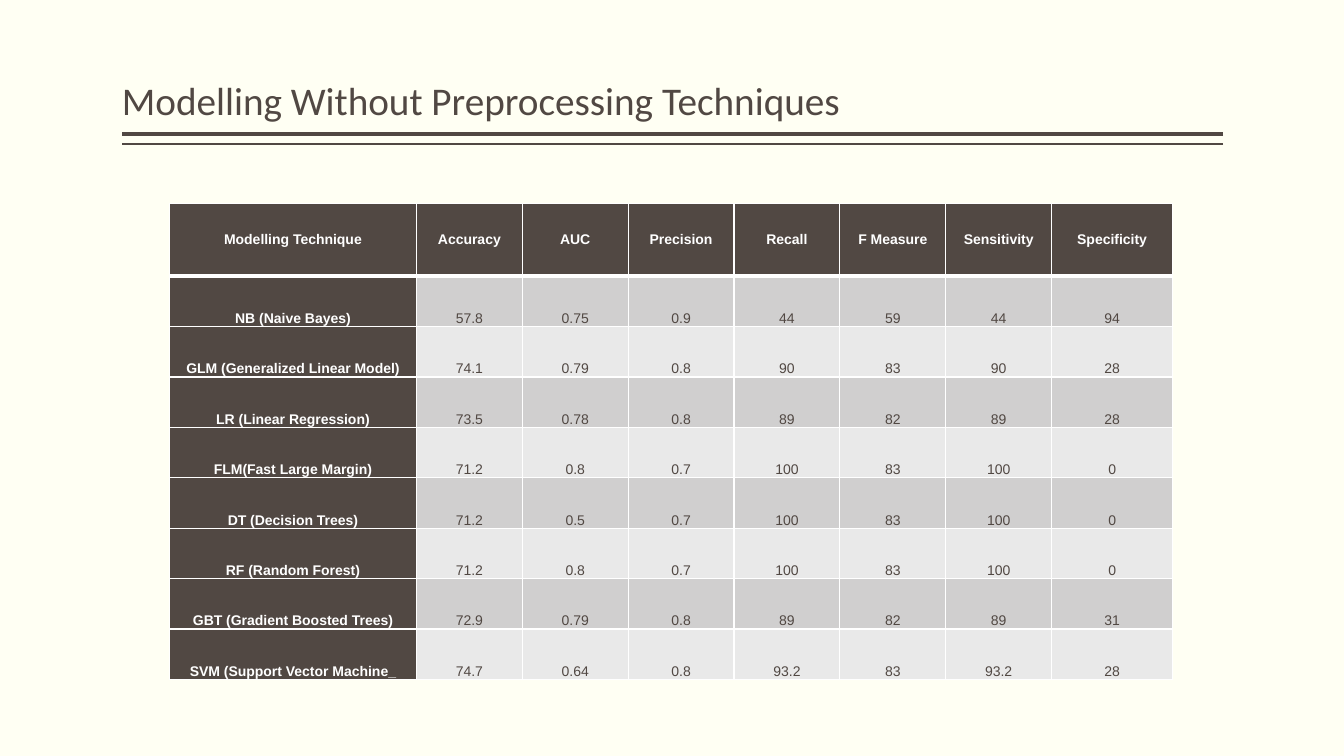
import dataclasses

import lxml.etree
import pptx
import pptx.dml.color
import pptx.enum.shapes
import pptx.enum.text
import pptx.oxml.ns
import pptx.util

Inches = pptx.util.Inches
Anchor = pptx.enum.text.MSO_ANCHOR
Align = pptx.enum.text.PP_ALIGN


@dataclasses.dataclass(frozen=True)
class Theme:
    background: str = "FFFFF3"
    dark: str = "514843"
    white: str = "FFFFFF"
    bands: tuple = ("D0CFCF", "E9E9E9")
    title_font: str = "Calibri"
    table_font: str = "Arial"
    title_size: int = 28
    table_size: int = 10
    thin: int = 1
    thick: int = 3


HEADERS = ["Modelling Technique", "Accuracy", "AUC", "Precision", "Recall",
           "F Measure", "Sensitivity", "Specificity"]
RESULTS = [
    ["NB (Naive Bayes)", "57.8", "0.75", "0.9", "44", "59", "44", "94"],
    ["GLM (Generalized Linear Model)", "74.1", "0.79", "0.8", "90", "83", "90", "28"],
    ["LR (Linear Regression)", "73.5", "0.78", "0.8", "89", "82", "89", "28"],
    ["FLM(Fast Large Margin)", "71.2", "0.8", "0.7", "100", "83", "100", "0"],
    ["DT (Decision Trees)", "71.2", "0.5", "0.7", "100", "83", "100", "0"],
    ["RF (Random Forest)", "71.2", "0.8", "0.7", "100", "83", "100", "0"],
    ["GBT (Gradient Boosted Trees)", "72.9", "0.79", "0.8", "89", "82", "89", "31"],
    ["SVM (Support Vector Machine_", "74.7", "0.64", "0.8", "93.2", "83", "93.2", "28"],
]
COLUMN_WIDTHS = [2.45] + [1.05] * 6 + [1.2]
ROW_HEIGHTS = [0.72] + [0.5] * len(RESULTS)


def rgb(color):
    return pptx.dml.color.RGBColor.from_string(color)


def write_text(frame, text, *, font, size, color, bold=False,
               align=Align.LEFT, spacing=1.0):
    paragraph = frame.paragraphs[0]
    paragraph.alignment = align
    paragraph.line_spacing = spacing
    run = paragraph.add_run()
    run.text = text
    run.font.name = font
    run.font.size = pptx.util.Pt(size)
    run.font.bold = bold
    run.font.color.rgb = rgb(color)


class SlideBuilder:
    def __init__(self, slide, theme):
        self.slide = slide
        self.theme = theme
        slide.background.fill.solid()
        slide.background.fill.fore_color.rgb = rgb(theme.background)

    def add_rule(self, left, right, top, weight):
        rule = self.slide.shapes.add_connector(
            pptx.enum.shapes.MSO_CONNECTOR.STRAIGHT,
            Inches(right), Inches(top), Inches(left), Inches(top))
        rule.line.color.rgb = rgb(self.theme.dark)
        rule.line.width = pptx.util.Pt(weight)
        lxml.etree.SubElement(rule._element.spPr, pptx.oxml.ns.qn("a:effectLst"))

    def add_title(self, text, left, top, width, height):
        title = self.slide.shapes.add_textbox(
            Inches(left), Inches(top), Inches(width), Inches(height))
        frame = title.text_frame
        frame.word_wrap = True
        frame.vertical_anchor = Anchor.BOTTOM
        frame.margin_left = frame.margin_right = 0
        frame.margin_top = frame.margin_bottom = Inches(0.05)
        write_text(frame, text, font=self.theme.title_font,
                   size=self.theme.title_size, color=self.theme.dark, spacing=0.9)

    def add_border(self, cell, side, weight):
        properties = cell._tc.get_or_add_tcPr()
        line = lxml.etree.SubElement(
            properties, pptx.oxml.ns.qn(f"a:ln{side}"), w=str(pptx.util.Pt(weight)))
        fill = lxml.etree.SubElement(line, pptx.oxml.ns.qn("a:solidFill"))
        lxml.etree.SubElement(fill, pptx.oxml.ns.qn("a:srgbClr"), val=self.theme.white)

    def fill_cell(self, cell, text, row, column):
        theme = self.theme
        is_label = row == 0 or column == 0
        weights = {"L": theme.thin, "R": theme.thin,
                   "T": theme.thick if row == 1 else theme.thin,
                   "B": theme.thick if row == 0 else theme.thin}
        for side, weight in weights.items():
            self.add_border(cell, side, weight)
        cell.fill.solid()
        cell.fill.fore_color.rgb = rgb(
            theme.dark if is_label else theme.bands[(row - 1) % 2])
        cell.vertical_anchor = Anchor.MIDDLE if row == 0 else Anchor.BOTTOM
        cell.margin_left = cell.margin_right = Inches(0.07)
        cell.margin_top = cell.margin_bottom = 0
        write_text(cell.text_frame, text, font=theme.table_font,
                   size=theme.table_size, bold=is_label, align=Align.CENTER,
                   color=theme.white if is_label else theme.dark)

    def add_table(self, rows, left, top, widths, heights):
        table = self.slide.shapes.add_table(
            len(rows), len(widths), Inches(left), Inches(top),
            Inches(sum(widths)), Inches(sum(heights))).table
        for column, width in zip(table.columns, widths):
            column.width = Inches(width)
        for row, height in zip(table.rows, heights):
            row.height = Inches(height)
        for row_index, values in enumerate(rows):
            for column_index, text in enumerate(values):
                self.fill_cell(table.cell(row_index, column_index), text,
                               row_index, column_index)


def main():
    presentation = pptx.Presentation()
    presentation.slide_width = Inches(13.33)
    presentation.slide_height = Inches(7.5)
    theme = Theme()
    slide = presentation.slides.add_slide(presentation.slide_layouts[6])
    builder = SlideBuilder(slide, theme)
    builder.add_rule(1.21, 12.13, 1.33, theme.thick)
    builder.add_rule(1.21, 12.13, 1.43, theme.thin)
    builder.add_title("Modelling Without Preprocessing Techniques",
                      1.21, 0.08, 10.92, 1.2)
    builder.add_table([HEADERS] + RESULTS, 1.68, 2.02, COLUMN_WIDTHS, ROW_HEIGHTS)
    presentation.save("out.pptx")


if __name__ == "__main__":
    main()
